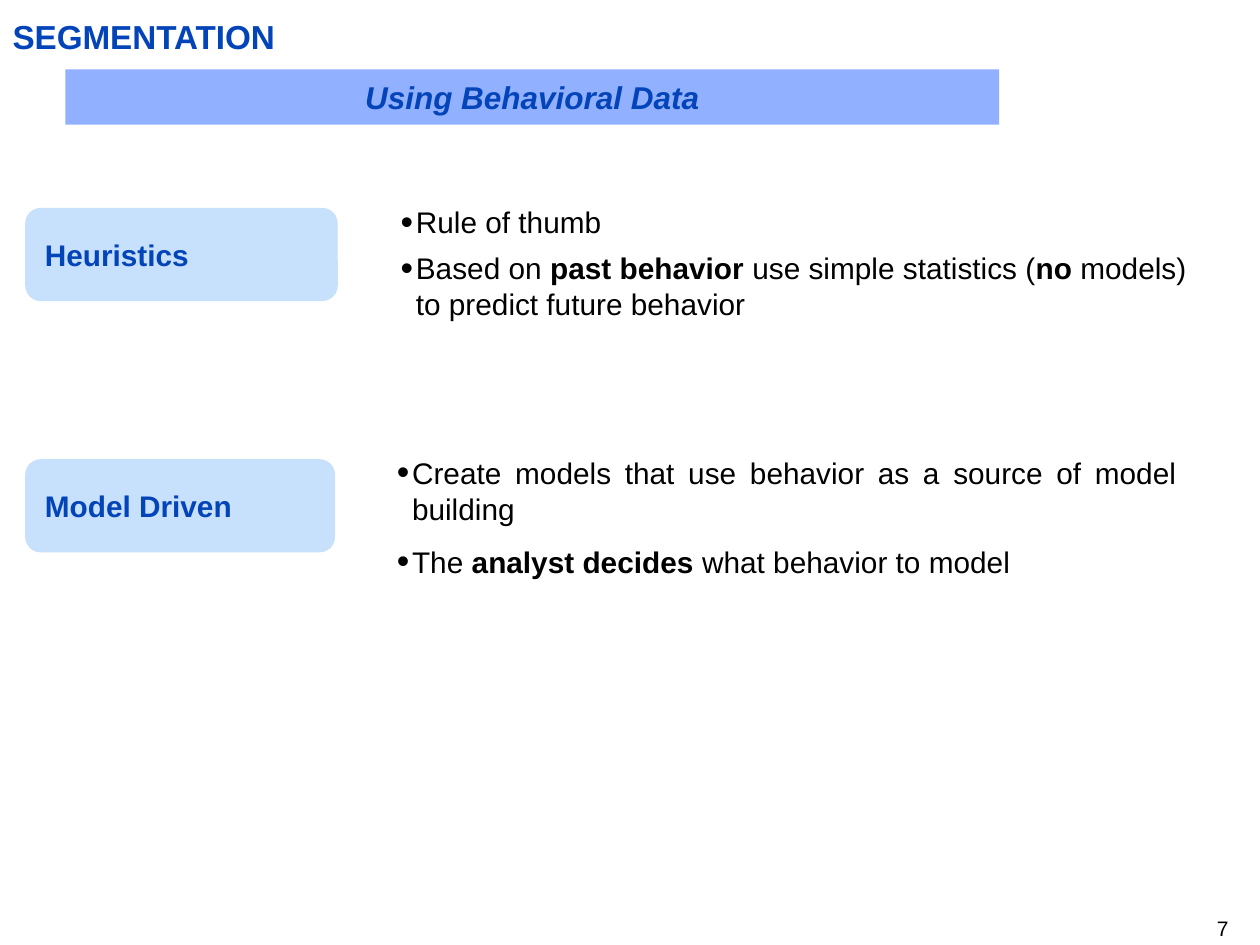
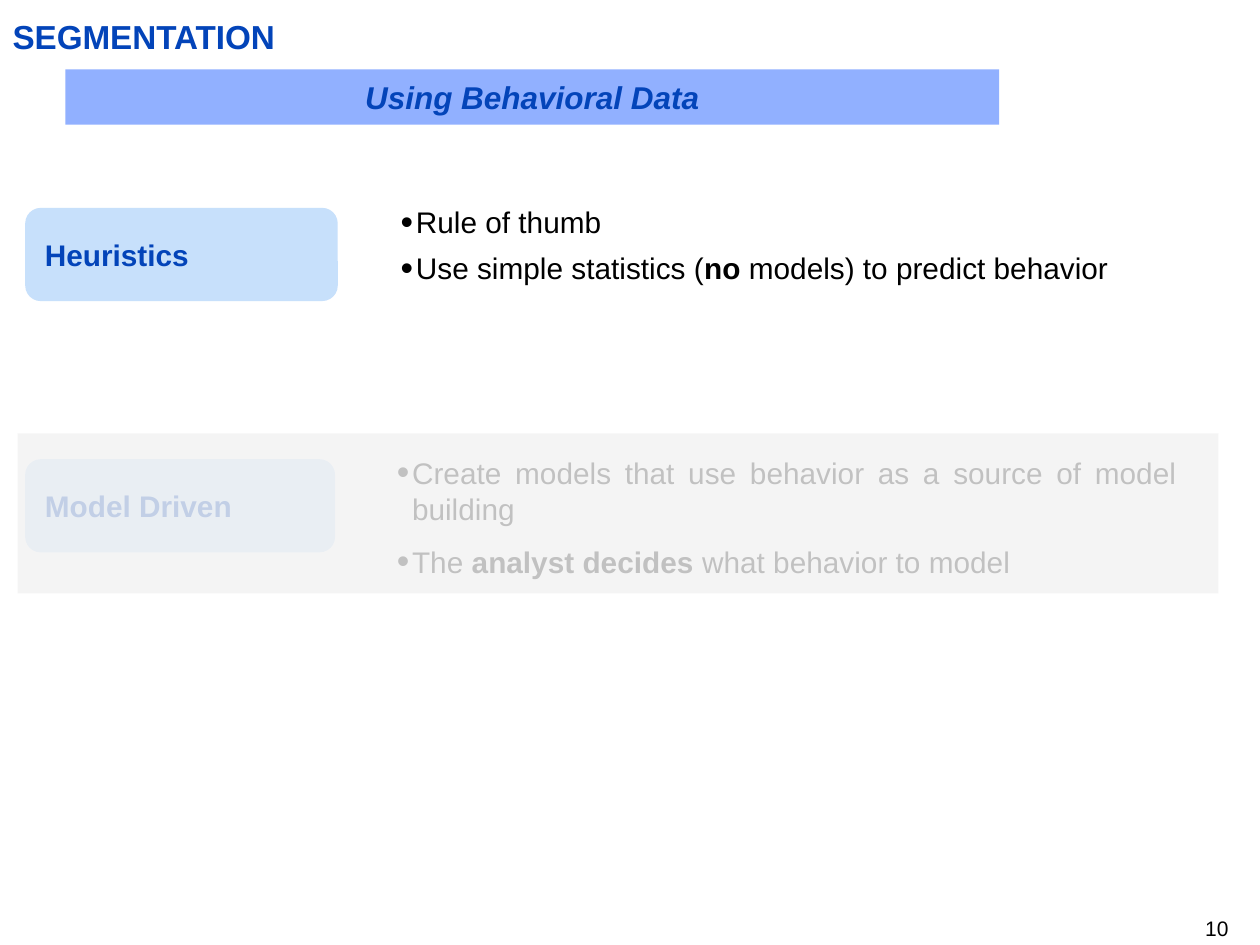
from dataclasses import dataclass

from lxml.etree import SubElement
from pptx import Presentation
from pptx.dml.color import RGBColor as Rgb
from pptx.enum.shapes import MSO_SHAPE as Shape
from pptx.enum.text import MSO_ANCHOR as Anchor, PP_ALIGN as Align
from pptx.oxml.ns import qn
from pptx.util import Pt

# Content: a bullet is a list of (text, bold) runs
TITLE = "SEGMENTATION"
SUBTITLE = "Using Behavioral Data"
RULE_OF_THUMB = [("Rule of thumb", False)]
MODEL_BULLETS = [
    [("Create models that use behavior as a source of model building", False)],
    [("The ", False), ("analyst decides ", True), ("what behavior to model", False)],
]
SLIDES = [
    {
        "number": "7",
        "heuristics": [
            RULE_OF_THUMB,
            [("Based on ", False), ("past behavior ", True),
             ("use simple statistics (", False), ("no", True),
             (" models) to predict future behavior", False)],
        ],
        "fade_models": False,
    },
    {
        "number": "10",
        "heuristics": [
            RULE_OF_THUMB,
            [("Use simple statistics (", False), ("no", True),
             (" models) to predict behavior", False)],
        ],
        "fade_models": True,
    },
]


@dataclass(frozen=True)
class Theme:
    font: str = "Arial"
    blue: Rgb = Rgb(0x03, 0x44, 0xB9)
    black: Rgb = Rgb(0, 0, 0)
    band: Rgb = Rgb(0x91, 0xB0, 0xFF)
    label: Rgb = Rgb(0xC7, 0xE0, 0xFB)
    veil: Rgb = Rgb(0xF2, 0xF2, 0xF2)
    title_size: float = 19
    band_size: float = 18
    body_size: float = 17
    number_size: float = 12


THEME = Theme()

# Places in points: left, top, width, height
TITLE_BOX = (7.2, 9.4, 692.6, 23)
BAND_BOX = (37.4, 39.6, 533.5, 31.7)
NUMBER_BOX = (552.2, 523.4, 149.8, 14.4)
VEIL_BOX = (10.1, 247.7, 686.2, 91.4)
LABEL_LEFT, LABEL_HEIGHT, LABEL_INDENT = 14.4, 53.3, 8.64
BULLET_INDENT = 8.64


@dataclass(frozen=True)
class Row:
    """Place and paragraph style of one label with its bullets."""
    label: str
    label_top: float
    label_width: float
    bullets_box: tuple
    gap: float
    align: Align


HEURISTICS = Row("Heuristics", 118.8, 178.6, (229, 116.6, 449.3, 67.7), 5.9, Align.LEFT)
MODELS = Row("Model Driven", 262.4, 177.1, (226.8, 259.9, 445.7, 72), 9.8, Align.JUSTIFY)


def points(box):
    return [Pt(value) for value in box]


def add_run(paragraph, text, size, color, bold=False, italic=False):
    run = paragraph.add_run()
    run.text = text
    font = run.font
    font.name, font.size = THEME.font, Pt(size)
    font.bold, font.italic = bold, italic
    font.color.rgb = color


def prepare_frame(shape, left=0, anchor=Anchor.TOP):
    frame = shape.text_frame
    frame.word_wrap = True
    frame.margin_left = Pt(left)
    frame.margin_right = frame.margin_top = frame.margin_bottom = 0
    frame.vertical_anchor = anchor
    return frame


def add_block(slide, kind, box, color):
    shape = slide.shapes.add_shape(kind, *points(box))
    shape.shadow.inherit = False
    shape.fill.solid()
    shape.fill.fore_color.rgb = color
    shape.line.fill.background()
    return shape


def add_bullet_mark(paragraph):
    properties = paragraph._p.get_or_add_pPr()
    properties.set("marL", str(Pt(BULLET_INDENT)))
    properties.set("indent", str(-Pt(BULLET_INDENT)))
    SubElement(properties, qn("a:buSzPct"), val="120000")
    SubElement(properties, qn("a:buFont"), typeface=THEME.font)
    SubElement(properties, qn("a:buChar"), char="•")


def add_row(slide, row, bullets):
    # Label
    box = (LABEL_LEFT, row.label_top, row.label_width, LABEL_HEIGHT)
    label = add_block(slide, Shape.ROUNDED_RECTANGLE, box, THEME.label)
    paragraph = prepare_frame(label, LABEL_INDENT, Anchor.MIDDLE).paragraphs[0]
    paragraph.alignment = Align.LEFT
    add_run(paragraph, row.label, THEME.body_size, THEME.blue, bold=True)

    # Bullets
    frame = prepare_frame(slide.shapes.add_textbox(*points(row.bullets_box)))
    for index, runs in enumerate(bullets):
        paragraph = frame.add_paragraph() if index else frame.paragraphs[0]
        add_bullet_mark(paragraph)
        paragraph.level = 1
        paragraph.alignment = row.align
        paragraph.space_before = Pt(0)
        paragraph.space_after = Pt(row.gap)
        for text, bold in runs:
            add_run(paragraph, text, THEME.body_size, THEME.black, bold)


def add_header_and_number(slide, number):
    # Title
    title = slide.shapes.title
    title.left, title.top, title.width, title.height = points(TITLE_BOX)
    paragraph = prepare_frame(title, anchor=Anchor.MIDDLE).paragraphs[0]
    paragraph.alignment = Align.LEFT
    add_run(paragraph, TITLE, THEME.title_size, THEME.blue, bold=True)

    # Subtitle band
    band = add_block(slide, Shape.RECTANGLE, BAND_BOX, THEME.band)
    paragraph = prepare_frame(band, anchor=Anchor.MIDDLE).paragraphs[0]
    paragraph.alignment = Align.CENTER
    add_run(paragraph, SUBTITLE, THEME.band_size, THEME.blue, bold=True, italic=True)

    # Slide number
    box = slide.shapes.add_textbox(*points(NUMBER_BOX))
    paragraph = prepare_frame(box).paragraphs[0]
    paragraph.alignment = Align.RIGHT
    add_run(paragraph, number, THEME.number_size, THEME.black)


def add_veil(slide):
    veil = add_block(slide, Shape.RECTANGLE, VEIL_BOX, THEME.veil)
    color = veil.fill._xPr.find(qn("a:solidFill"))[0]
    SubElement(color, qn("a:alpha"), val="80000")


def main():
    presentation = Presentation()
    presentation.slide_width, presentation.slide_height = Pt(720), Pt(540)
    title_only = presentation.slide_layouts[5]
    for content in SLIDES:
        slide = presentation.slides.add_slide(title_only)
        add_header_and_number(slide, content["number"])
        add_row(slide, HEURISTICS, content["heuristics"])
        add_row(slide, MODELS, MODEL_BULLETS)
        if content["fade_models"]:
            add_veil(slide)
    presentation.save("out.pptx")


if __name__ == "__main__":
    main()
